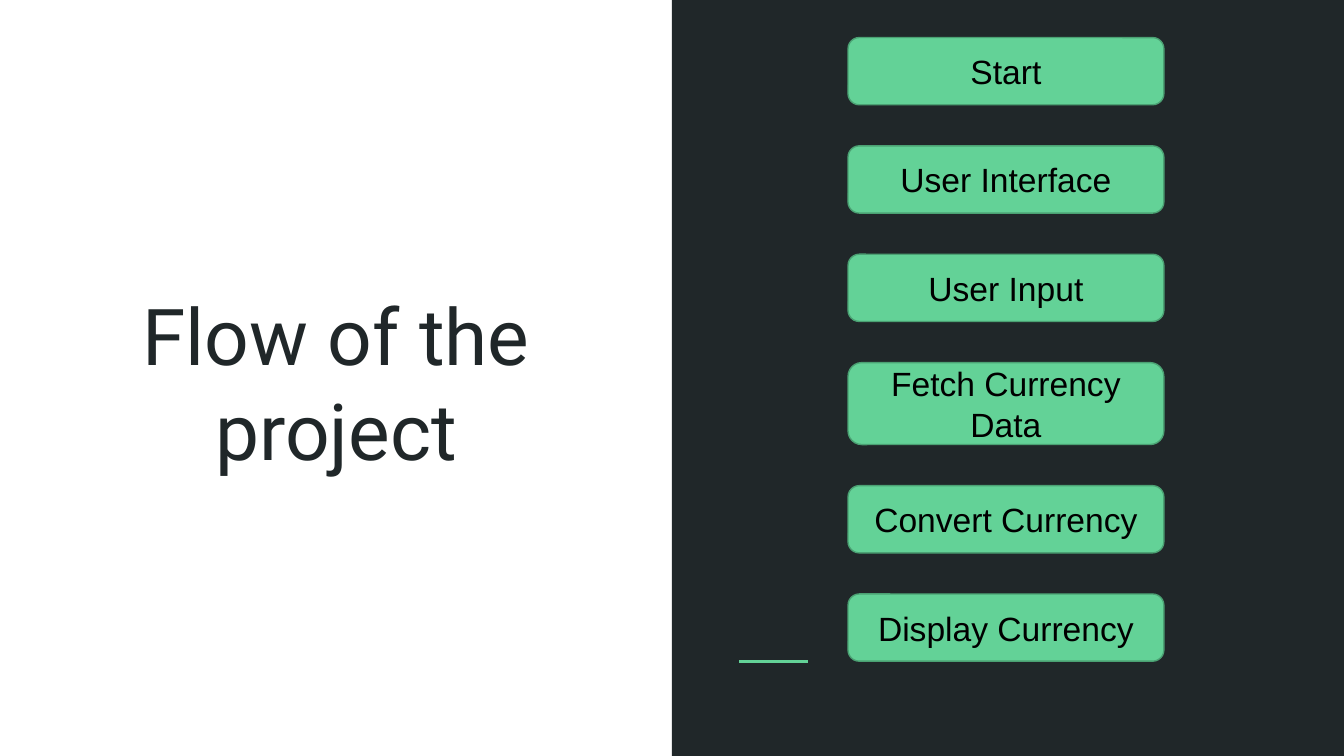
from lxml import etree
from pptx import Presentation
from pptx.dml.color import RGBColor
from pptx.enum import shapes, text
from pptx.oxml.ns import qn
from pptx.util import Inches, Pt

DARK, GREEN, EDGE, BLACK = "202729", "63D297", "4BA173", "000000"
WIDTH = 10
HEIGHT = WIDTH * 9 / 16
STEPS = [("Start", 0.5), ("User Interface", 0.5), ("User Input", 0.5),
         ("Fetch Currency Data", 0.61), ("Convert Currency", 0.5),
         ("Display Currency", 0.5)]


def rgb(value):
    return RGBColor.from_string(value)


def set_text(sp, value, anchor, font, size, color):
    tf = sp.text_frame
    frame = {"word_wrap": True, "auto_size": text.MSO_AUTO_SIZE.NONE,
             "vertical_anchor": anchor}
    for side in ("left", "right", "top", "bottom"):
        frame[f"margin_{side}"] = Inches(0.1)
    for name, setting in frame.items():
        setattr(tf, name, setting)
    p = tf.paragraphs[0]
    p.alignment = text.PP_ALIGN.CENTER
    r = p.add_run()
    r.text = value
    for name, setting in {"name": font, "size": Pt(size), "bold": False}.items():
        setattr(r.font, name, setting)
    r.font.color.rgb = rgb(color)


def add_box(s, kind, left, top, width, height, fill, line=None):
    sp = s.shapes.add_shape(kind, Inches(left), Inches(top),
                            Inches(width), Inches(height))
    sp.shadow.inherit = False
    sp.fill.solid()
    sp.fill.fore_color.rgb = rgb(fill)
    if line:
        sp.line.color.rgb = rgb(line)
        sp.line.width = Pt(0.75)
    else:
        sp.line.fill.background()
    return sp


def add_panel(s, left, top, width, height):
    """Dark half of the slide with its short accent line."""
    add_box(s, shapes.MSO_SHAPE.RECTANGLE, left, top, width, height, DARK)
    y = Inches(top + 4.92)
    accent = s.shapes.add_connector(shapes.MSO_CONNECTOR.STRAIGHT,
                                    Inches(left + 0.5), y, Inches(left + 1.01), y)
    accent.line.color.rgb = rgb(GREEN)
    accent.line.width = Pt(1.5)
    etree.SubElement(accent._element.spPr, qn("a:effectLst"))


def add_title(s, left, top, width, height):
    title = s.shapes.title
    place = {"left": left, "top": top, "width": width, "height": height}
    for name, value in place.items():
        setattr(title, name, Inches(value))
    set_text(title, "Flow of the project", text.MSO_ANCHOR.BOTTOM,
             "Roboto", 42, DARK)


def add_steps(s, left, top, width, height):
    """Column of steps with equal gaps that fills the given box."""
    gap = (height - sum(h for _, h in STEPS)) / (len(STEPS) - 1)
    for label, h in STEPS:
        sp = add_box(s, shapes.MSO_SHAPE.ROUNDED_RECTANGLE,
                     left, top, width, h, GREEN, EDGE)
        set_text(sp, label, text.MSO_ANCHOR.MIDDLE, "Arial", 18, BLACK)
        top += h + gap


def main():
    prs = Presentation()
    prs.slide_width, prs.slide_height = Inches(WIDTH), Inches(HEIGHT)
    s = prs.slides.add_slide(prs.slide_layouts[5])

    # Right half background
    add_panel(s, WIDTH / 2, 0, WIDTH / 2, HEIGHT)
    # Left half title
    add_title(s, 0.29, 1.99, 4.42, 1.65)
    # Flow of steps
    add_steps(s, 6.31, 0.28, 2.35, 4.64)

    prs.save("out.pptx")


if __name__ == "__main__":
    main()
